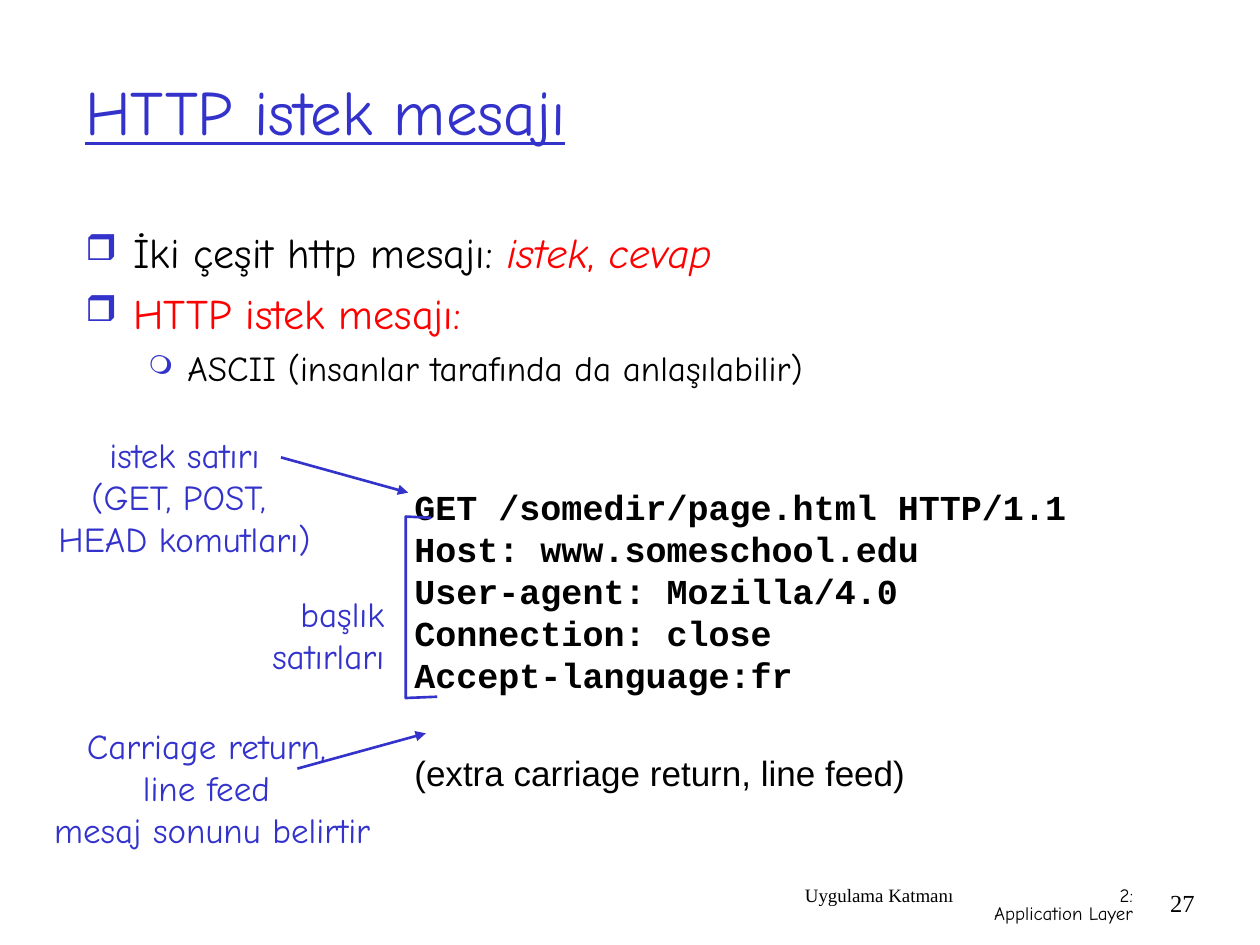
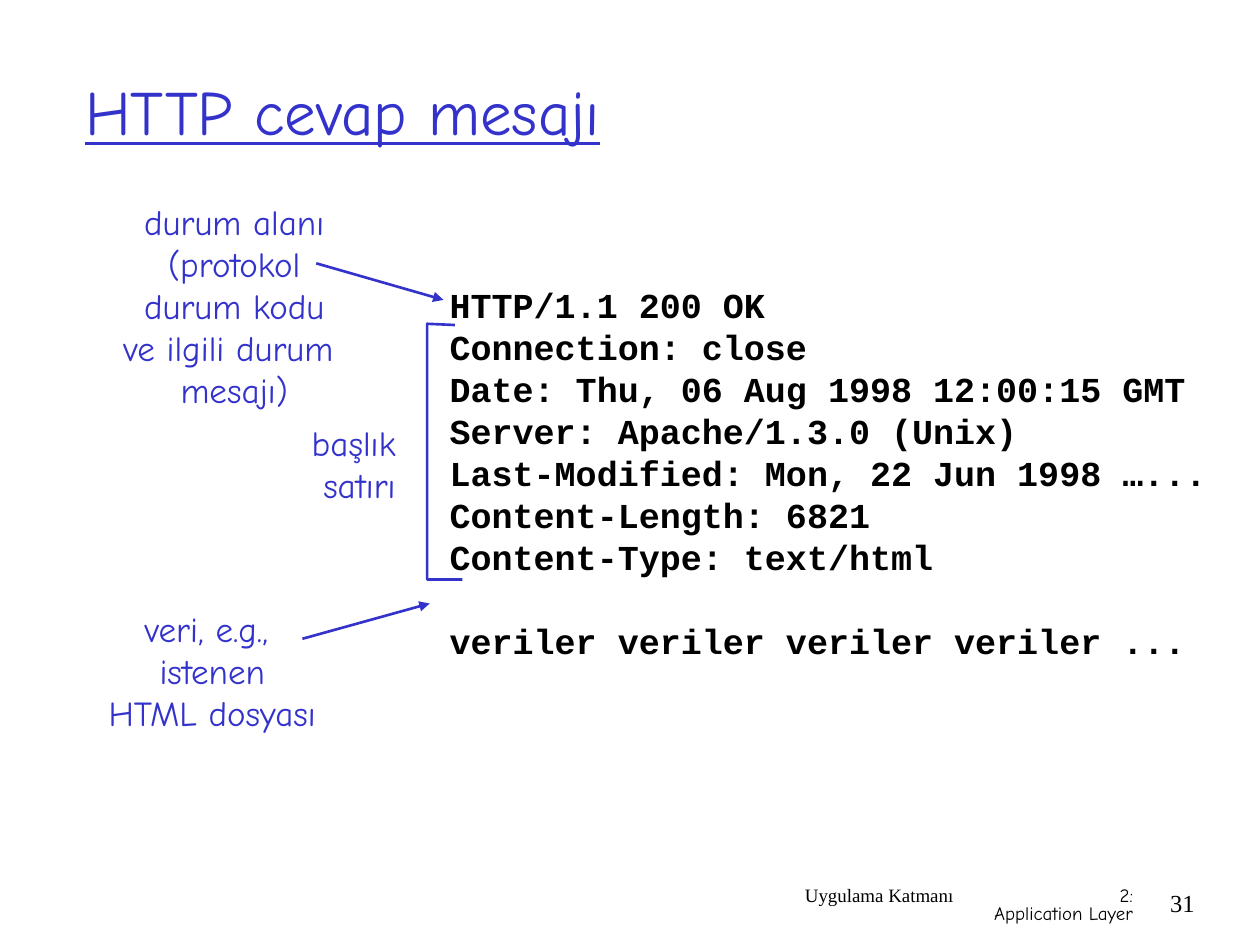
from lxml import etree
from pptx import Presentation
from pptx.dml.color import RGBColor
from pptx.enum.shapes import MSO_CONNECTOR as Connector
from pptx.enum.text import MSO_ANCHOR as Anchor, MSO_AUTO_SIZE as AutoSize, PP_ALIGN as Align
from pptx.oxml.ns import qn
from pptx.util import Inches, Pt

# Shared colours and fonts
BLUE = RGBColor(0x33, 0x33, 0xCC)
RED = RGBColor(0xFF, 0x00, 0x00)
BLACK = RGBColor(0x00, 0x00, 0x00)
COMIC, SERIF = "Comic Neue", "Times New Roman"

# Shared text formats
TITLE = dict(name=COMIC, size=Pt(36), underline=True)
BODY = dict(name=COMIC, size=Pt(24))
SUB_BODY = dict(name=COMIC, size=Pt(20))
LABEL = dict(name=COMIC, size=Pt(20))
CODE = dict(name="Courier New", size=Pt(20), bold=True)
PLAIN = dict(name="Arial", size=Pt(20))
FOOTER = dict(name=SERIF, size=Pt(10.8))
CHAPTER = dict(name=COMIC, size=Pt(10.8))
PAGE = dict(name=SERIF, size=Pt(14))


def add_run(paragraph, text, font_format, color=BLACK):
    run = paragraph.add_run()
    run.text = text
    for attribute, value in font_format.items():
        setattr(run.font, attribute, value)
    run.font.color.rgb = color


def add_frame(slide, left, top, width, height, wrap=True):
    shape = slide.shapes.add_textbox(*map(Inches, (left, top, width, height)))
    frame = shape.text_frame
    frame.word_wrap = wrap
    frame.auto_size = AutoSize.NONE if wrap else AutoSize.SHAPE_TO_FIT_TEXT
    return frame


def add_lines(frame, lines, font_format, color=BLACK, **paragraph_format):
    """Put each line in its own paragraph."""
    for index, line in enumerate(lines):
        paragraph = frame.add_paragraph() if index else frame.paragraphs[0]
        for attribute, value in paragraph_format.items():
            setattr(paragraph, attribute, value)
        add_run(paragraph, line, font_format, color)


def add_label(slide, box, lines, alignment=Align.CENTER):
    add_lines(add_frame(slide, *box, wrap=False), lines, LABEL, BLUE, alignment=alignment)


def add_message(slide, box, lines, last_line, last_format, gap):
    """HTTP message lines, then a separated closing line."""
    frame = add_frame(slide, *box, wrap=False)
    frame.margin_top = Inches(0.08)
    add_lines(frame, lines, CODE, line_spacing=Pt(24))
    paragraph = frame.add_paragraph()
    paragraph.line_spacing = Pt(24)
    paragraph.space_before = Pt(gap)
    add_run(paragraph, last_line, last_format)


def add_arrow(slide, start, end):
    points = map(Inches, (*start, *end))
    arrow = slide.shapes.add_connector(Connector.STRAIGHT, *points)
    arrow.line.color.rgb = BLUE
    arrow.line.width = Pt(1.5)
    etree.SubElement(arrow.line._get_or_add_ln(), qn("a:tailEnd"), type="triangle")
    etree.SubElement(arrow._element.spPr, qn("a:effectLst"))


def add_bracket(slide, *points):
    start, *rest = [tuple(map(Inches, point)) for point in points]
    builder = slide.shapes.build_freeform(*start)
    builder.add_line_segments(rest, close=False)
    bracket = builder.convert_to_shape()
    bracket.shadow.inherit = False
    bracket.fill.background()
    bracket.line.color.rgb = BLUE
    bracket.line.width = Pt(1.5)


def set_bullet(paragraph, symbol, percent, margin, hanging):
    properties = paragraph._p.get_or_add_pPr()
    properties.set("marL", str(Inches(margin)))
    properties.set("indent", str(-Inches(hanging)))
    color = etree.SubElement(properties, qn("a:buClr"))
    etree.SubElement(color, qn("a:srgbClr"), val=str(BLUE))
    etree.SubElement(properties, qn("a:buSzPct"), val=str(percent * 1000))
    etree.SubElement(properties, qn("a:buChar"), char=symbol)


def add_bullets(slide, items):
    """Each item is a level and its (text, extra format, colour) runs."""
    levels = [(BODY, 6, ("❒", 85, 0.38, 0.38)), (SUB_BODY, 5, ("❍", 75, 0.81, 0.31))]
    frame = add_frame(slide, 0.58, 1.75, 8.5, 5.08)
    for index, (level, runs) in enumerate(items):
        font_format, space, bullet = levels[level]
        paragraph = frame.add_paragraph() if index else frame.paragraphs[0]
        paragraph.level = level
        if index:
            paragraph.space_before = Pt(space)
        set_bullet(paragraph, *bullet)
        for text, extra, color in runs:
            add_run(paragraph, text, font_format | extra, color)


def start_slide(presentation, title, number):
    """Blank slide with the shared title and footer."""
    slide = presentation.slides.add_slide(presentation.slide_layouts[6])
    add_lines(add_frame(slide, 6.29, 7, 1.6, 0.5), ["Uygulama Katmanı"], FOOTER, line_spacing=0.8)
    add_lines(add_frame(slide, 7.5, 7, 1.59, 0.5), ["2:", "Application Layer"], CHAPTER,
              alignment=Align.RIGHT, line_spacing=0.8)
    add_lines(add_frame(slide, 9.08, 7, 0.5, 0.5), [str(number)], PAGE, alignment=Align.RIGHT)
    frame = add_frame(slide, 0.58, 0.25, 8.5, 1.25)
    frame.vertical_anchor = Anchor.MIDDLE
    add_lines(frame, [title], TITLE, BLUE)
    return slide


def build_request(presentation):
    slide = start_slide(presentation, "HTTP istek mesajı", 27)
    italic = dict(italic=True)
    add_bullets(slide, [
        (0, [("İki çeşit http mesajı: ", {}, BLACK), ("istek", italic, RED),
             (", ", {}, RED), ("cevap", italic, RED)]),
        (0, [("HTTP istek mesajı:", {}, RED)]),
        (1, [("ASCII (insanlar tarafında da anlaşılabilir)", {}, BLACK)]),
    ])
    add_message(slide, (3.19, 3.77, 5.38, 2.57), [
        "GET /somedir/page.html HTTP/1.1",
        "Host: www.someschool.edu",
        "User-agent: Mozilla/4.0",
        "Connection: close",
        "Accept-language:fr",
    ], "(extra carriage return, line feed)", PLAIN, gap=32)

    # Request line
    add_label(slide, (0.36, 3.39, 2.21, 1.1), ["istek satırı", "(GET, POST, ", "HEAD komutları)"])
    add_arrow(slide, (2.23, 3.63), (3.24, 3.91))
    # Header lines
    add_bracket(slide, (3.42, 4.11), (3.22, 4.1), (3.22, 5.54), (3.47, 5.53))
    add_label(slide, (1.97, 4.65, 1.18, 0.77), ["başlık", "satırları"], Align.RIGHT)
    # End of message
    add_arrow(slide, (2.36, 6.1), (3.38, 5.82))
    add_label(slide, (0.33, 5.7, 2.71, 1.1),
              ["Carriage return, ", "line feed ", "mesaj sonunu belirtir"])


def build_response(presentation):
    slide = start_slide(presentation, "HTTP cevap mesajı", 31)
    add_message(slide, (3.47, 2.17, 6.38, 3.1), [
        "HTTP/1.1 200 OK",
        "Connection: close",
        "Date: Thu, 06 Aug 1998 12:00:15 GMT",
        "Server: Apache/1.3.0 (Unix)",
        "Last-Modified: Mon, 22 Jun 1998 …...",
        "Content-Length: 6821",
        "Content-Type: text/html",
    ], "veriler veriler veriler veriler ...", CODE, gap=24)

    # Status line
    add_label(slide, (0.88, 1.54, 1.96, 1.77),
              ["durum alanı", "(protokol", "durum kodu", "ve ilgili durum ", "mesajı)"])
    add_arrow(slide, (2.51, 2.09), (3.52, 2.38))
    # Header lines
    add_bracket(slide, (3.61, 2.58), (3.39, 2.57), (3.39, 4.6), (3.67, 4.6))
    add_label(slide, (2.37, 3.3, 0.87, 0.77), ["başlık", "satırı"], Align.RIGHT)
    # Data
    add_arrow(slide, (2.4, 5.07), (3.41, 4.79))
    add_label(slide, (0.75, 4.77, 1.87, 1.1), ["veri, e.g., ", "istenen", "HTML dosyası"])


def main():
    presentation = Presentation()
    presentation.slide_width = Inches(10)
    presentation.slide_height = Inches(7.5)
    build_request(presentation)
    build_response(presentation)
    presentation.save("out.pptx")


if __name__ == "__main__":
    main()
